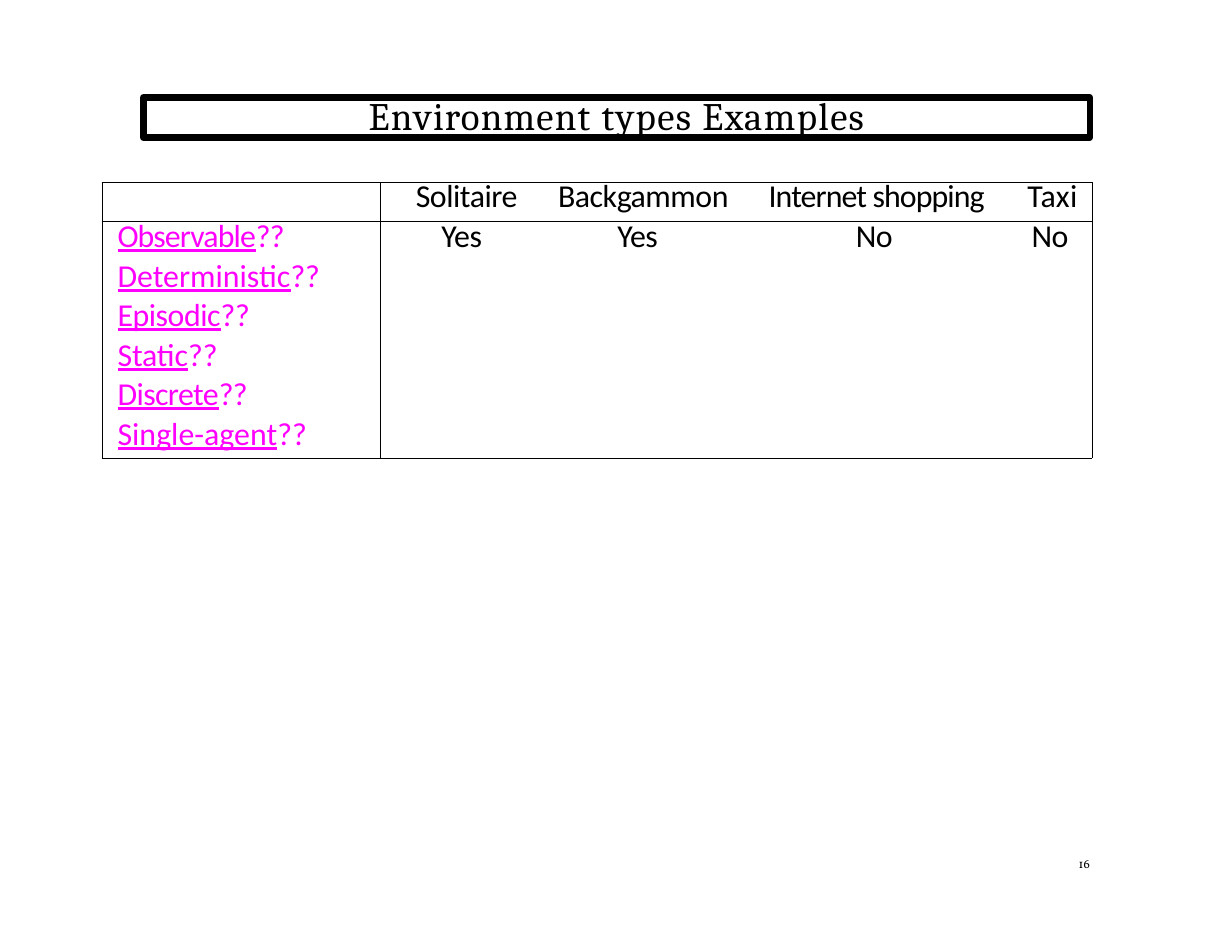
"""Build the slide with the environment types examples table."""
from lxml.etree import SubElement
from pptx import Presentation
from pptx.dml.color import RGBColor
from pptx.enum.text import PP_ALIGN
from pptx.oxml.ns import qn
from pptx.util import Inches, Pt

BLACK = RGBColor(0, 0, 0)
MAGENTA = RGBColor(255, 0, 255)
TITLE = {"name": "Cambria", "size": Pt(25)}
NUMBER = {"name": "Vollkorn", "size": Pt(8)}
BODY = {"name": "Calibri", "size": Pt(20.5)}
MARGINS = ("margin_left", "margin_right", "margin_top", "margin_bottom")


def add_span(para, text, spacing, format_values, color=BLACK):
    span = para.add_run()
    span.text = text
    for name, value in format_values.items():
        setattr(span.font, name, value)
    span.font.color.rgb = color
    span.font._element.set("spc", str(round(spacing * 100)))


def add_box(page, left, top, width, height):
    box = page.shapes.add_textbox(Inches(left), Inches(top), Inches(width), Inches(height))
    box.text_frame.word_wrap = True
    for margin in MARGINS:
        setattr(box.text_frame, margin, 0)
    return box


deck = Presentation()
deck.slide_width, deck.slide_height = Inches(11), Inches(8.5)
page = deck.slides.add_slide(deck.slide_layouts[6])

number = add_box(page, 9.59, 7.66, 0.21, 0.14)
number.text_frame.margin_left = Inches(0.04)
para = number.text_frame.paragraphs[0]
para.line_spacing = Pt(8.6)
add_span(para, "16", 0.2, NUMBER)

title = add_box(page, 1.28, 0.87, 8.45, 0.36)
title.line.color.rgb = BLACK
title.line.width = Pt(4.08)
para = title.text_frame.paragraphs[0]
para.alignment = PP_ALIGN.CENTER
para.line_spacing = Pt(26.4)
add_span(para, "Environment ", 0.8, TITLE)
add_span(para, "types Examples", 0.9, TITLE)

table = page.shapes.add_table(
    2, 2, Inches(0.91), Inches(1.63), Inches(8.84), Inches(2.46)
).table
table.first_row = table.horz_banding = False
for column, width in zip(table.columns, (2.49, 6.35)):
    column.width = Inches(width)
for row, height in zip(table.rows, (0.35, 2.11)):
    row.height = Inches(height)

for cell in table.iter_cells():
    for margin in MARGINS:
        setattr(cell, margin, 0)
    properties = cell._tc.get_or_add_tcPr()
    for side in ("a:lnL", "a:lnR", "a:lnT", "a:lnB"):
        border = SubElement(properties, qn(side), w=str(Pt(0.5)))
        fill = SubElement(border, qn("a:solidFill"))
        SubElement(fill, qn("a:srgbClr"), val=str(BLACK))
    cell.fill.background()

value_rows = [
    (0.13, 21.8, (1.27, 3.15, 5.46),
     [("Solitaire\tBackgammon\t", -0.3), ("Internet shopping\t", -0.6), ("Taxi", 0.2)]),
    (0.21, 22.1, (1.57, 3.7, 5.27), [("Yes\tYes\tNo\t", -0.3), ("No", -0.4)]),
]
for index, (margin, line_height, stops, spans) in enumerate(value_rows):
    cell = table.cell(index, 1)
    cell.margin_right = Inches(margin)
    para = cell.text_frame.paragraphs[0]
    tabs = SubElement(para._p.get_or_add_pPr(), qn("a:tabLst"))
    for stop in stops:
        SubElement(tabs, qn("a:tab"), pos=str(Inches(stop)), algn="l")
    para.alignment = PP_ALIGN.RIGHT
    para.line_spacing = Pt(line_height)
    for text, spacing in spans:
        add_span(para, text, spacing, BODY)

questions = [
    ("Observable", -0.6, -0.6),
    ("Deterministic", 0, -0.1),
    ("Episodic", -0.3, -0.3),
    ("Static", -0.1, -0.1),
    ("Discrete", -0.4, -0.4),
    ("Single-agent", 0, -0.1),
]
cell = table.cell(1, 0)
cell.margin_left = Inches(0.14)
for index, (text, spacing, mark_spacing) in enumerate(questions):
    para = cell.text_frame.add_paragraph() if index else cell.text_frame.paragraphs[0]
    para.line_spacing = Pt(25.4 if index else 22.1)
    add_span(para, text, spacing, BODY | {"underline": True}, MAGENTA)
    add_span(para, "??", mark_spacing, BODY, MAGENTA)

deck.save("out.pptx")
